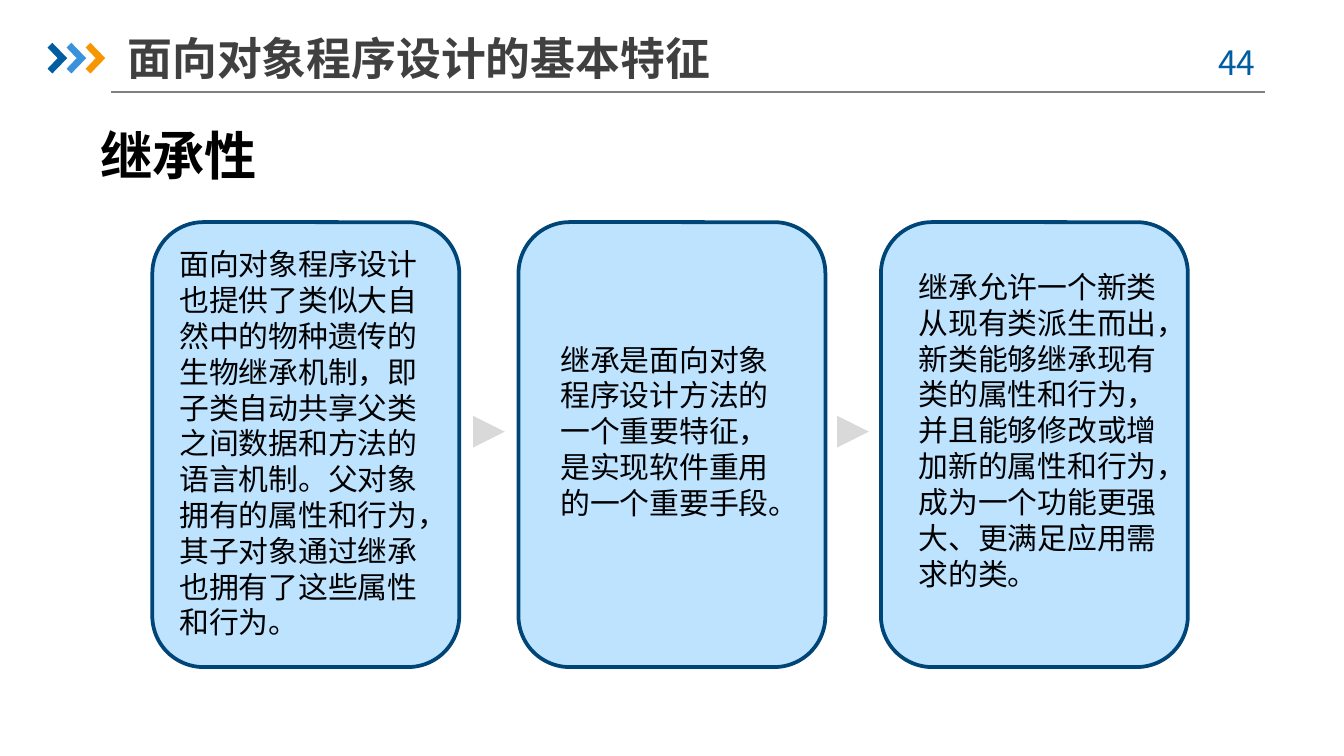
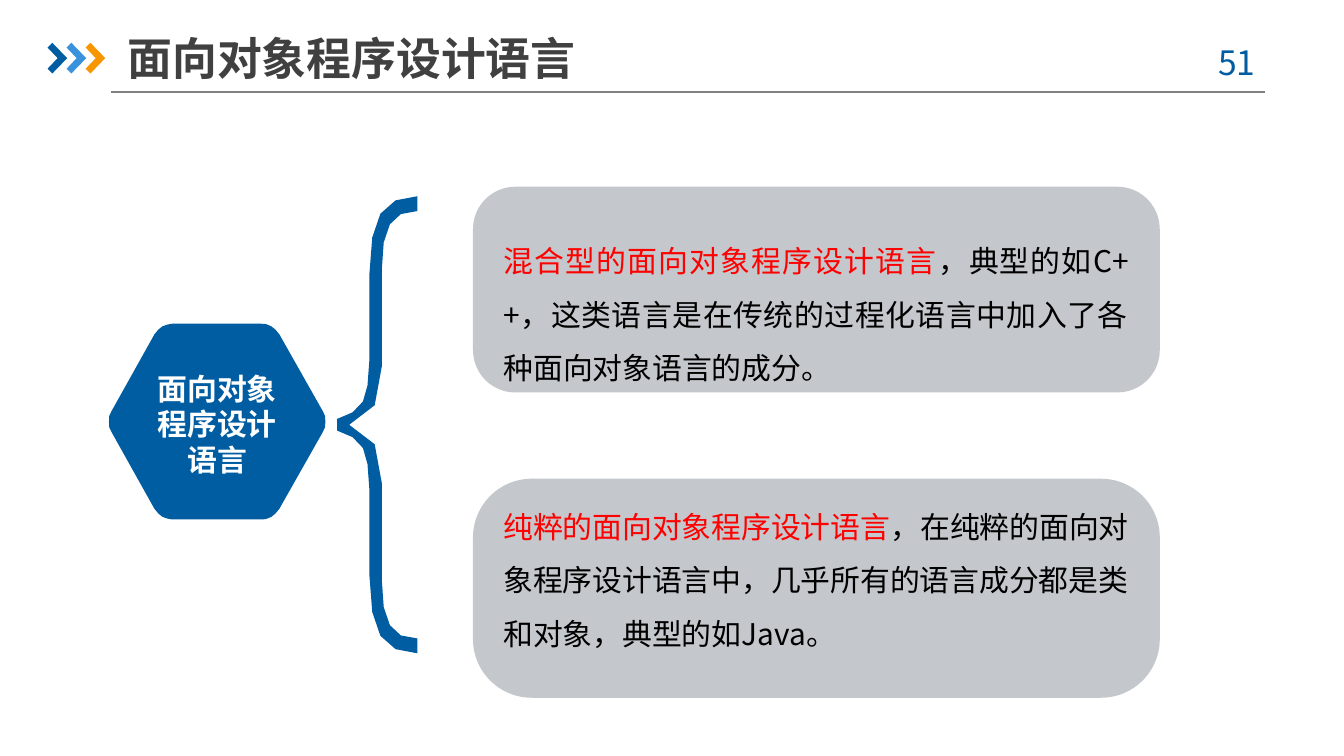
"""Build two slides on the features and languages of object-oriented programming."""
from lxml.etree import SubElement
from pptx import Presentation
from pptx.dml.color import RGBColor
from pptx.enum.shapes import MSO_CONNECTOR, MSO_SHAPE
from pptx.enum.text import MSO_ANCHOR, MSO_AUTO_SIZE, PP_ALIGN
from pptx.oxml.ns import qn
from pptx.util import Cm, Pt

FONT = "Noto Sans CJK SC"
COLORS = {
    "blue": "005DA2", "sky": "3992DB", "orange": "F79600", "rule": "808080",
    "title": "404040", "black": "000000", "white": "FFFFFF", "red": "FF0000",
    "card": "74C4FF", "edge": "004578", "arrow": "D9D9D9", "panel": "C4C7CB",
}
RGB = {name: RGBColor.from_string(value) for name, value in COLORS.items()}


def write(tf, *runs, size=16, bold=False, align=PP_ALIGN.LEFT, spacing=None,
          anchor=MSO_ANCHOR.TOP, insets=(0.25, 0.13, 0.25, 0.13)):
    tf.word_wrap = True
    tf.auto_size = MSO_AUTO_SIZE.NONE
    tf.vertical_anchor = anchor
    tf.margin_left, tf.margin_top, tf.margin_right, tf.margin_bottom = map(Cm, insets)
    p = tf.paragraphs[0]
    p.alignment = align
    p.line_spacing = spacing
    for content, color in runs:
        r = p.add_run()
        r.text = content
        r.font.name = FONT
        r.font.size = Pt(size)
        r.font.bold = bold
        r.font.color.rgb = RGB[color]
        SubElement(r.font._element, qn("a:ea"), typeface=FONT)


def outline(s, steps, axis, color):
    points = [steps[0]]
    for step in steps[1:]:
        if len(step) == 6:
            x0, y0 = points[-1]
            x1, y1, x2, y2, x3, y3 = step
            points.append(((x0 + 3 * x1 + 3 * x2 + x3) / 8, (y0 + 3 * y1 + 3 * y2 + y3) / 8))
        points.append(step[-2:])
    points += [(x, 2 * axis - y) for x, y in reversed(points) if y != axis]
    points = [(Cm(x), Cm(y)) for x, y in points]
    builder = s.shapes.build_freeform(*points[0])
    builder.add_line_segments(points[1:], close=True)
    sp = builder.convert_to_shape()
    sp.shadow.inherit = False
    sp.fill.solid()
    sp.fill.fore_color.rgb = RGB[color]
    sp.line.fill.background()


prs = Presentation()
prs.slide_width, prs.slide_height = Cm(25.4), Cm(14.29)

slides = []
for title, number in [("面向对象程序设计的基本特征", "44"), ("面向对象程序设计语言", "51")]:
    s = prs.slides.add_slide(prs.slide_layouts[5])
    slides.append(s)
    rule = s.shapes.add_connector(MSO_CONNECTOR.STRAIGHT, Cm(2.1), Cm(1.74), Cm(23.9), Cm(1.74))
    rule.line.color.rgb = RGB["rule"]
    rule.line.width = Pt(0.75)
    SubElement(rule._element.spPr, qn("a:effectLst"))
    for i, color in enumerate(["blue", "sky", "orange"]):
        x = 0.9 + 0.36 * i
        outline(s, [(x + 0.19, 1.1), (x, 0.9), (x + 0.09, 0.81), (x + 0.37, 1.1)], 1.1, color)
    tb = s.shapes.add_textbox(Cm(22.45), Cm(0.66), Cm(1.85), Cm(1.02))
    write(tb.text_frame, (number, "blue"), size=18, align=PP_ALIGN.CENTER)
    sp = s.shapes.title
    sp.left, sp.top, sp.width, sp.height = Cm(2.41), Cm(0.56), Cm(12.88), Cm(1.07)
    write(sp.text_frame, (title, "title"), size=24, bold=True,
          anchor=MSO_ANCHOR.MIDDLE, insets=(0, 0.13, 0, 0.13))

s = slides[0]
tb = s.shapes.add_textbox(Cm(1.65), Cm(2.2), Cm(17), Cm(1.45))
write(tb.text_frame, ("继承性", "black"), size=28, bold=True)

cards = [
    (2.88, (3.14, 4.52, 5.26, 7.77),
     "面向对象程序设计也提供了类似大自然中的物种遗传的生物继承机制，即子类自动共享父类之间数据和方法的语言机制。"
     "父对象拥有的属性和行为，其子对象通过继承也拥有了这些属性和行为。"),
    (9.8, (10.34, 6.32, 4.72, 3.68),
     "继承是面向对象程序设计方法的一个重要特征，是实现软件重用的一个重要手段。"),
    (16.65, (17.11, 4.95, 5.13, 6.4),
     "继承允许一个新类从现有类派生而出，新类能够继承现有类的属性和行为，并且能够修改或增加新的属性和行为，"
     "成为一个功能更强大、更满足应用需求的类。"),
]
for left, box, content in cards:
    sp = s.shapes.add_shape(MSO_SHAPE.ROUNDED_RECTANGLE, Cm(left), Cm(4.2), Cm(5.8), Cm(8.41))
    sp.shadow.inherit = False
    sp.fill.solid()
    sp.fill.fore_color.rgb = RGB["card"]
    SubElement(sp._element.spPr.find(".//" + qn("a:srgbClr")), qn("a:alpha"), val="47000")
    sp.line.color.rgb = RGB["edge"]
    sp.line.width = Pt(2)
    tb = s.shapes.add_textbox(*map(Cm, box))
    write(tb.text_frame, (content, "black"))

for left in (8.94, 15.82):
    sp = s.shapes.add_shape(MSO_SHAPE.FLOWCHART_EXTRACT, Cm(left), Cm(7.86), Cm(0.6), Cm(0.6))
    sp.rotation = 90
    sp.shadow.inherit = False
    sp.fill.solid()
    sp.fill.fore_color.rgb = RGB["arrow"]
    sp.line.fill.background()

s = slides[1]
hexagon = [
    (2.06, 7.97), (2.06, 7.9, 2.06, 7.82, 2.11, 7.77), (2.92, 6.32),
    (2.97, 6.25, 3.02, 6.2, 3.07, 6.17), (3.12, 6.15, 3.2, 6.12, 3.25, 6.12),
    (4.93, 6.12), (5, 6.12, 5.05, 6.12, 5.13, 6.17), (5.18, 6.2, 5.23, 6.25, 5.28, 6.32),
    (6.1, 7.77), (6.15, 7.82, 6.15, 7.9, 6.15, 7.97),
]
outline(s, hexagon, 7.97, "blue")
tb = s.shapes.add_textbox(Cm(2.85), Cm(7), Cm(2.51), Cm(2.06))
write(tb.text_frame, ("面向对象程序设计语言", "white"), bold=True,
      align=PP_ALIGN.CENTER, insets=(0, 0, 0, 0))

brace = [
    (6.37, 7.92), (6.6, 7.87, 6.76, 7.75, 6.86, 7.59), (6.93, 7.44, 6.98, 7.19, 6.98, 6.83),
    (6.98, 5.21), (6.98, 4.65, 7.06, 4.24, 7.19, 4.04), (7.34, 3.81, 7.57, 3.71, 7.89, 3.71),
    (7.89, 3.99), (7.65, 3.99, 7.47, 4.06, 7.37, 4.24), (7.26, 4.42, 7.22, 4.7, 7.22, 5.05),
    (7.22, 6.91), (7.22, 7.42, 7.06, 8.03, 6.6, 8.03),
]
outline(s, brace, 8.03, "blue")

panels = []
for top, height, radius in [(3.53, 3.89, 0.206), (9.05, 4.14, 0.268)]:
    sp = s.shapes.add_shape(MSO_SHAPE.ROUNDED_RECTANGLE, Cm(8.94), Cm(top), Cm(12.98), Cm(height))
    sp.adjustments[0] = radius
    sp.shadow.inherit = False
    sp.fill.solid()
    sp.fill.fore_color.rgb = RGB["panel"]
    sp.line.fill.background()
    panels.append(sp)

tb = s.shapes.add_textbox(Cm(9.52), Cm(4.25), Cm(11.81), Cm(2.95))
write(tb.text_frame, ("混合型的面向对象程序设计语言", "red"),
      ("，典型的如C++，这类语言是在传统的过程化语言中加入了各种面向对象语言的成分。", "black"),
      align=PP_ALIGN.JUSTIFY, spacing=1.5, insets=(0, 0, 0, 0))
write(panels[1].text_frame, ("纯粹的面向对象程序设计语言", "red"),
      ("，在纯粹的面向对象程序设计语言中，几乎所有的语言成分都是类和对象，典型的如Java。", "black"),
      spacing=1.5, anchor=MSO_ANCHOR.MIDDLE, insets=(0.25, 0.13, 0.25, 0.78))

prs.save("out.pptx")
